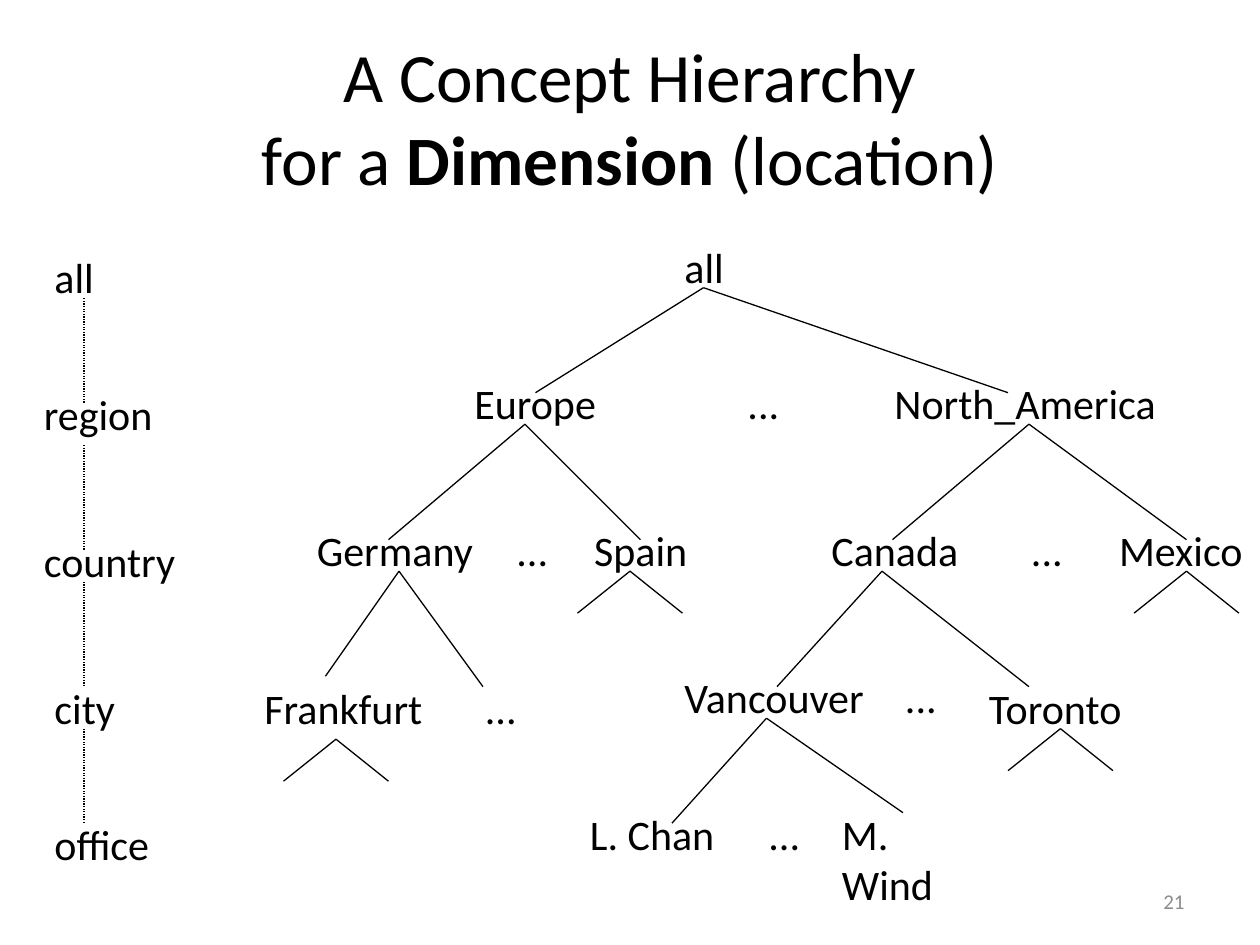
from pptx import Presentation
from pptx.dml.color import RGBColor
from pptx.enum.dml import MSO_LINE
from pptx.enum.shapes import MSO_CONNECTOR
from pptx.enum.text import MSO_ANCHOR, PP_ALIGN
from pptx.util import Pt
from lxml import etree

PX = 7620
FONT = "Calibri"
COLORS = {"text": "000000", "number": "8C8C8C", "line": "000000"}
STRAIGHT = MSO_CONNECTOR.STRAIGHT
DOTTED = MSO_LINE.ROUND_DOT
TOP, MIDDLE = MSO_ANCHOR.TOP, MSO_ANCHOR.MIDDLE
LEFT, CENTER, RIGHT = PP_ALIGN.LEFT, PP_ALIGN.CENTER, PP_ALIGN.RIGHT
EFFECTS = "{http://schemas.openxmlformats.org/drawingml/2006/main}effectLst"
LABEL_H = 60

LEVELS = [
    ("all", 10, 0, 64), ("region", 0, 130, 132), ("country", 0, 270, 152),
    ("city", 10, 410, 85), ("office", 10, 540, 119),
]
LEVEL_LINKS = [(50, 150), (190, 290), (320, 420), (460, 550)]
NODES = [
    ("all", 400, 0, 64),
    ("Europe", 200, 130, 144), ("...", 460, 130, 56), ("North_America", 600, 130, 282),
    ("Germany", 50, 270, 179), ("...", 240, 270, 56), ("Spain", 314, 270, 119),
    ("Canada", 540, 270, 150), ("...", 730, 270, 56), ("Mexico", 814, 270, 146),
    ("Frankfurt", 0, 420, 180), ("...", 210, 420, 56),
    ("Vancouver", 400, 410, 203), ("...", 610, 410, 56), ("Toronto", 690, 420, 157),
    ("L. Chan", 310, 540, 152), ("...", 480, 540, 56),
]
BRANCHES = [
    ((430, 50), (270, 150), (720, 150)),
    ((260, 180), (130, 290), (370, 290)),
    ((740, 180), (610, 290), (890, 290)),
    ((140, 320), (70, 420), (220, 430)),
    ((600, 320), (500, 430), (740, 430)),
    ((490, 460), (400, 560), (620, 550)),
]
STUBS = [(360, 320), (890, 320), (80, 480), (770, 470)]


def add_text(s, runs, x, y, w, h, size=24, color="text", align=LEFT, anchor=TOP, wrap=False):
    sp = s.shapes.add_textbox(x * PX, y * PX, w * PX, h * PX)
    tf = sp.text_frame
    tf.word_wrap = wrap
    tf.vertical_anchor = anchor
    p = tf.paragraphs[0]
    p.alignment = align
    p.text = runs[0]
    for text in runs[1:]:
        p.add_run().text = text
    for r in p.runs:
        r.font.name = FONT
        r.font.size = Pt(size)
        r.font.color.rgb = RGBColor.from_string(COLORS[color])
    return p


def add_line(s, x1, y1, x2, y2, dash=None):
    line = s.shapes.add_connector(STRAIGHT, x1 * PX, y1 * PX, x2 * PX, y2 * PX)
    line.line.color.rgb = RGBColor.from_string(COLORS["line"])
    line.line.width = Pt(0.75)
    if dash:
        line.line.dash_style = dash
    etree.SubElement(line._element.spPr, EFFECTS)


def add_title(s, x, y, w, h):
    runs = ["A Concept Hierarchy\vfor a ", "Dimension", " (location)"]
    p = add_text(s, runs, x, y, w, h, 39.6, align=CENTER, anchor=MIDDLE, wrap=True)
    p.runs[-2].font.bold = True


def add_levels(s, x, y):
    for text, dx, dy, w in LEVELS:
        add_text(s, [text], x + dx, y + dy, w, LABEL_H)
    for start, end in LEVEL_LINKS:
        add_line(s, x + 50, y + start, x + 50, y + end, DOTTED)


def add_tree(s, x, y):
    for text, dx, dy, w in NODES:
        add_text(s, [text], x + dx, y + dy, w, LABEL_H)
    add_text(s, ["M. Wind"], x + 550, y + 540, 162, LABEL_H, wrap=True)
    stubs = [((a, b), (a - 50, b + 40), (a + 50, b + 40)) for a, b in STUBS]
    for (ax, ay), *children in BRANCHES + stubs:
        for cx, cy in children:
            add_line(s, x + ax, y + ay, x + cx, y + cy)


def add_slide_number(s, x, y, w, h):
    add_text(s, ["21"], x, y, w, h, 12, "number", RIGHT, MIDDLE, True)


def main():
    prs = Presentation()
    prs.slide_width, prs.slide_height = 1200 * PX, 900 * PX
    s = prs.slides.add_slide(prs.slide_layouts[6])
    add_title(s, 60, 36, 1080, 150)
    add_slide_number(s, 860, 834, 280, 48)
    add_tree(s, 240, 224)
    add_levels(s, 30, 234)
    prs.save("out.pptx")


if __name__ == "__main__":
    main()
